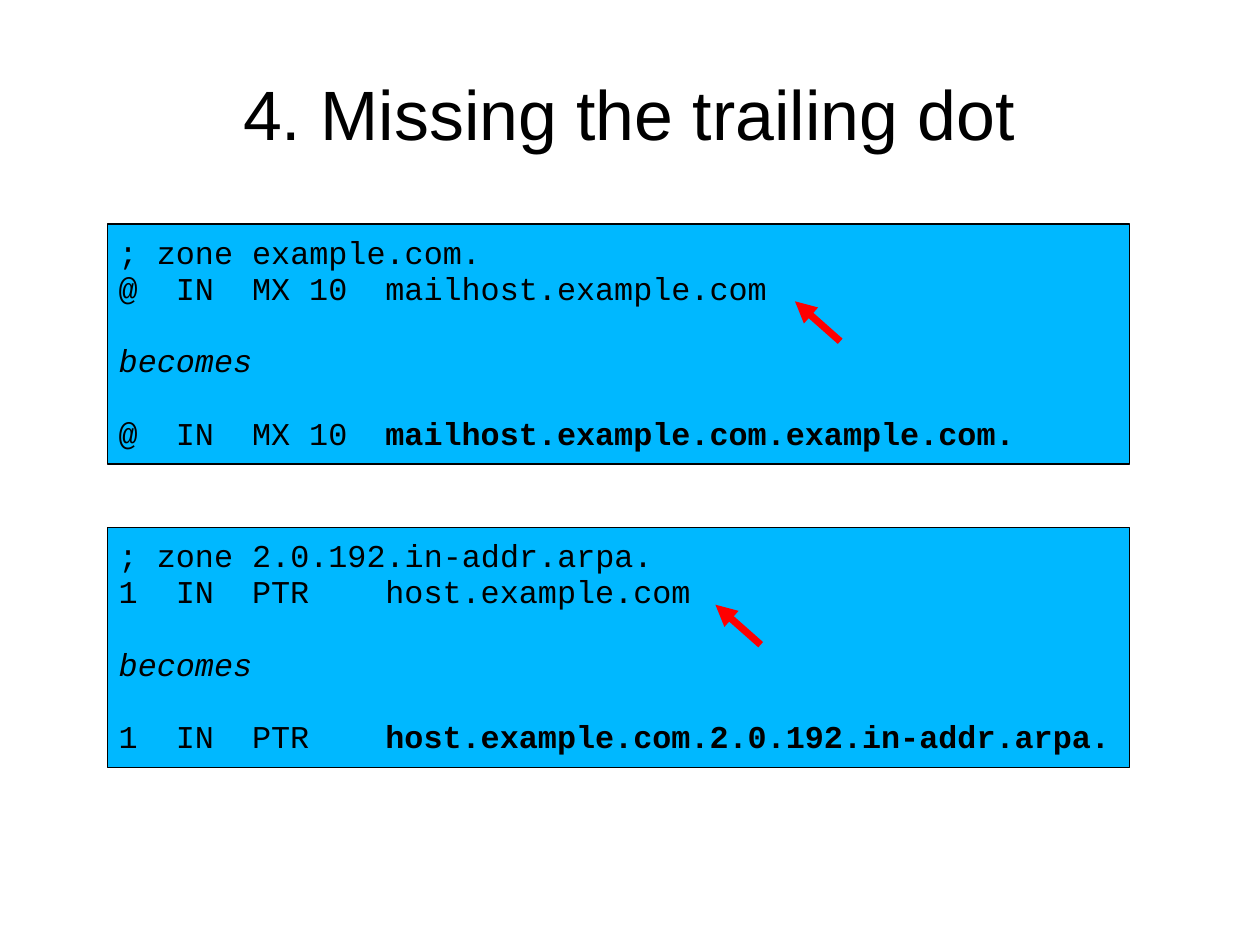
"""Build the slide on a missing trailing dot in DNS zone records."""
from dataclasses import dataclass

from lxml import etree
from pptx import Presentation
from pptx.dml.color import RGBColor
from pptx.enum.shapes import MSO_CONNECTOR, MSO_SHAPE
from pptx.enum.text import MSO_ANCHOR, PP_ALIGN
from pptx.oxml.ns import qn
from pptx.util import Pt

RECTANGLE = MSO_SHAPE.RECTANGLE
STRAIGHT = MSO_CONNECTOR.STRAIGHT
TOP, MIDDLE = MSO_ANCHOR.TOP, MSO_ANCHOR.MIDDLE
LEFT, CENTER = PP_ALIGN.LEFT, PP_ALIGN.CENTER

COLORS = {"ink": "000000", "panel": "00B8FF", "arrow": "FF0000"}
PANEL_LEFT, PANEL_WIDTH, PANEL_HEIGHT = 67.7, 644, 151.2
LINE_PITCH = 22.8
RECORD_COLUMNS = (36, 84, 168)
ARROW_DROP, ARROW_WIDTH, ARROW_HEIGHT = 48.7, 28.5, 25.2


@dataclass
class ZoneExample:
    """A zone record, its faulty host name and what the name expands to."""
    top: float
    zone: str
    record: str
    host: str
    arrow_left: float


EXAMPLES = (
    ZoneExample(141.1, "example.com.", "@\tIN\tMX 10\t", "mailhost.example.com", 500.8),
    ZoneExample(332.2, "2.0.192.in-addr.arpa.", "1\tIN\tPTR\t", "host.example.com", 450.7),
)


def color(name: str) -> RGBColor:
    """Return a named palette colour."""
    return RGBColor.from_string(COLORS[name])


def set_font(paragraph, name: str, size: float) -> None:
    """Set the font shared by all runs of a paragraph."""
    paragraph.font.name = name
    paragraph.font.size = Pt(size)
    paragraph.font.color.rgb = color("ink")


def set_margins(frame, left: float, top: float, right: float, bottom: float) -> None:
    """Set the four inner margins of a text frame."""
    frame.margin_left, frame.margin_top = Pt(left), Pt(top)
    frame.margin_right, frame.margin_bottom = Pt(right), Pt(bottom)


def add_title(page, text: str) -> None:
    """Add the centred slide title."""
    box = page.shapes.add_textbox(Pt(39.6), Pt(23.8), Pt(714.2), Pt(99.4))
    frame = box.text_frame
    frame.word_wrap = True
    frame.vertical_anchor = MIDDLE
    set_margins(frame, 0, 0, 0, 0)
    paragraph = frame.paragraphs[0]
    paragraph.alignment = CENTER
    paragraph.line_spacing = 0.93
    paragraph.add_run().text = text
    set_font(paragraph, "Arial", 44)


def add_code_line(paragraph, text: str, gap: float = 0):
    """Fill a paragraph with code on the record columns and return its span."""
    paragraph.alignment = LEFT
    paragraph.line_spacing = Pt(LINE_PITCH)
    paragraph.space_before = Pt(gap)
    tabs = etree.SubElement(paragraph._p.get_or_add_pPr(), qn("a:tabLst"))
    for column in RECORD_COLUMNS:
        etree.SubElement(tabs, qn("a:tab"), pos=str(Pt(column)), algn="l")
    set_font(paragraph, "Courier New", 20)
    span = paragraph.add_run()
    span.text = text
    return span


def add_panel(page, example: ZoneExample) -> None:
    """Add the panel showing a record and its expansion."""
    panel = page.shapes.add_shape(
        RECTANGLE, Pt(PANEL_LEFT), Pt(example.top), Pt(PANEL_WIDTH), Pt(PANEL_HEIGHT))
    panel.shadow.inherit = False
    panel.fill.solid()
    panel.fill.fore_color.rgb = color("panel")
    panel.line.color.rgb = color("ink")
    panel.line.width = Pt(0.74)
    frame = panel.text_frame
    frame.word_wrap = True
    frame.vertical_anchor = TOP
    set_margins(frame, 7.2, 6.7, 7.2, 7.2)
    add_code_line(frame.paragraphs[0], f"; zone {example.zone}")
    add_code_line(frame.add_paragraph(), example.record + example.host)
    add_code_line(frame.add_paragraph(), "becomes", LINE_PITCH).font.italic = True
    result = frame.add_paragraph()
    add_code_line(result, example.record, LINE_PITCH)
    expansion = result.add_run()
    expansion.text = f"{example.host}.{example.zone}"
    expansion.font.bold = True


def add_arrow(page, example: ZoneExample) -> None:
    """Add the arrow pointing at the place of the missing dot."""
    tip = example.top + ARROW_DROP
    arrow = page.shapes.add_connector(
        STRAIGHT, Pt(example.arrow_left), Pt(tip),
        Pt(example.arrow_left + ARROW_WIDTH), Pt(tip + ARROW_HEIGHT))
    arrow.line.color.rgb = color("arrow")
    arrow.line.width = Pt(4.5)
    etree.SubElement(arrow.line._get_or_add_ln(), qn("a:headEnd"), type="triangle")
    etree.SubElement(arrow._element.spPr, qn("a:effectLst"))


def build() -> None:
    """Build and save the deck."""
    deck = Presentation()
    deck.slide_width, deck.slide_height = Pt(793.75), Pt(595.25)
    page = deck.slides.add_slide(deck.slide_layouts[6])
    add_title(page, "4. Missing the trailing dot")
    for example in EXAMPLES:
        add_panel(page, example)
        add_arrow(page, example)
    deck.save("out.pptx")


build()
